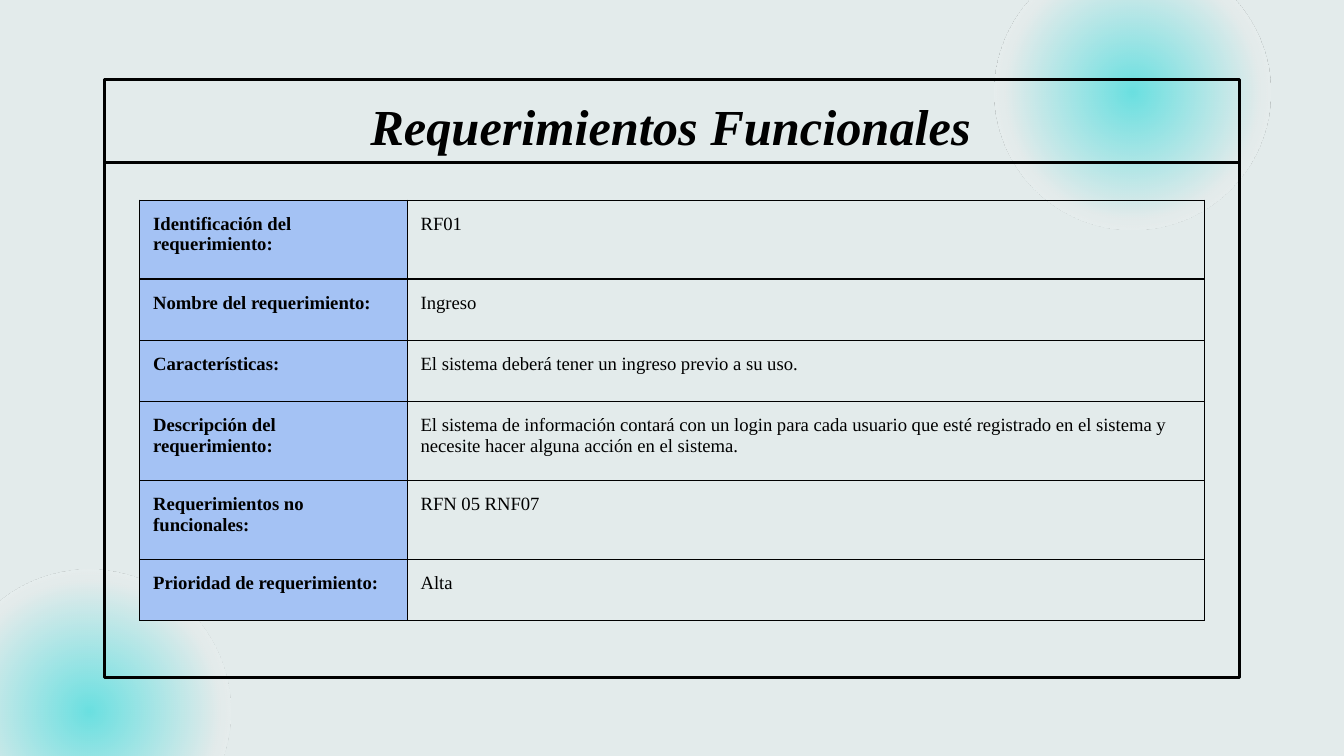
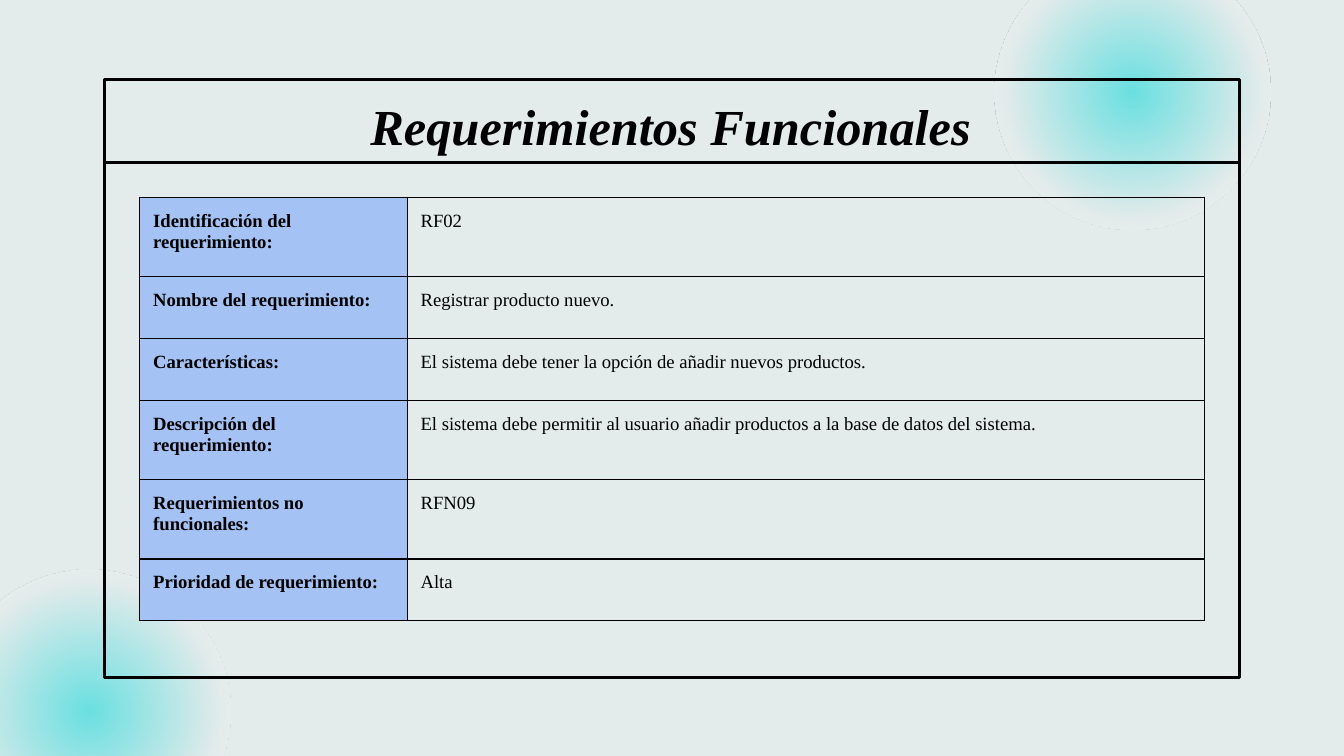
import pptx
import pptx.util
import pptx.dml.color
import pptx.enum.shapes
import pptx.enum.text
import pptx.oxml
import pptx.oxml.ns

Inches = pptx.util.Inches
Pt = pptx.util.Pt
RGBColor = pptx.dml.color.RGBColor

# Content
TITLE = "Requerimientos Funcionales"
LABELS = [
    "Identificación del requerimiento:",
    "Nombre del requerimiento:",
    "Características:",
    "Descripción del requerimiento:",
    "Requerimientos no funcionales:",
    "Prioridad de requerimiento:",
]
REQUIREMENTS = [
    {
        "table_top": 1.49,
        "values": [
            "RF01",
            "Ingreso",
            "El sistema deberá tener un ingreso previo a su uso.",
            "El sistema de información contará con un login para cada usuario que esté "
            "registrado en el sistema y necesite hacer alguna acción en el sistema.",
            "RFN 05 RNF07",
            "Alta",
        ],
    },
    {
        "table_top": 1.47,
        "values": [
            "RF02",
            "Registrar producto nuevo.",
            "El sistema debe tener la opción de añadir nuevos productos.",
            "El sistema debe permitir al usuario añadir productos a la base de datos del sistema.",
            "RFN09",
            "Alta",
        ],
    },
]

# Shared style
PAPER = RGBColor(0xE3, 0xEB, 0xEB)
GLOW = RGBColor(0x6A, 0xE0, 0xE1)
LABEL_BLUE = RGBColor(0xA4, 0xC2, 0xF4)
INK = RGBColor(0x00, 0x00, 0x00)
WHITE = RGBColor(0xFF, 0xFF, 0xFF)
FONT = "Times New Roman"
PADDING = Inches(0.1)

# Shared layout, in inches
WIDTH = 10
HEIGHT = WIDTH * 9 / 16
FRAME_TOP, FRAME_WIDTH, FRAME_HEIGHT = 0.59, 8.45, 4.45
FRAME_LEFT = (WIDTH - FRAME_WIDTH) / 2
RULE_TOP = 1.21
GLOWS = [(-0.39, 4.24, 2.1), (7.4, -0.34, 2.05)]  # left, top, diameter
TABLE_LEFT, TABLE_BOTTOM = 1.04, 4.62
COLUMNS = [1.99, 5.93]
ROW_SHARES = [0.59, 0.46, 0.46, 0.59, 0.59, 0.46]


def style_text(paragraph, size, bold, italic=False):
    for span in paragraph.runs:
        span.font.name = FONT
        span.font.size = Pt(size)
        span.font.bold = bold
        span.font.italic = italic
        span.font.color.rgb = INK


def pad(target):
    target.margin_left = target.margin_right = PADDING
    target.margin_top = target.margin_bottom = PADDING


def add_glow(page, left, top, diameter):
    circle = page.shapes.add_shape(
        pptx.enum.shapes.MSO_SHAPE.OVAL,
        Inches(left), Inches(top), Inches(diameter), Inches(diameter))
    circle.rotation = 180
    circle.shadow.inherit = False
    circle.line.fill.background()
    # Radial gradient fading to transparent
    gradient = pptx.oxml.parse_xml(
        f'<a:gradFill {pptx.oxml.ns.nsdecls("a")} rotWithShape="1"><a:gsLst>'
        f'<a:gs pos="0"><a:srgbClr val="{GLOW}"/></a:gs>'
        f'<a:gs pos="65000"><a:srgbClr val="{PAPER}"/></a:gs>'
        f'<a:gs pos="100000"><a:srgbClr val="{WHITE}"><a:alpha val="0"/></a:srgbClr></a:gs>'
        '</a:gsLst><a:path path="circle">'
        '<a:fillToRect l="50000" t="50000" r="50000" b="50000"/></a:path></a:gradFill>')
    circle.fill.background()
    properties = circle.element.spPr
    properties.replace(properties.find(pptx.oxml.ns.qn("a:noFill")), gradient)


def add_frame(page):
    frame = page.shapes.add_shape(
        pptx.enum.shapes.MSO_SHAPE.RECTANGLE, Inches(FRAME_LEFT), Inches(FRAME_TOP),
        Inches(FRAME_WIDTH), Inches(FRAME_HEIGHT))
    frame.shadow.inherit = False
    frame.fill.background()
    rule = page.shapes.add_connector(
        pptx.enum.shapes.MSO_CONNECTOR.STRAIGHT, Inches(FRAME_LEFT), Inches(RULE_TOP),
        Inches(FRAME_LEFT + FRAME_WIDTH), Inches(RULE_TOP))
    for outline in (frame.line, rule.line):
        outline.color.rgb = INK
        outline.width = Pt(1.5)
    rule.element.spPr.append(
        pptx.oxml.parse_xml(f'<a:effectLst {pptx.oxml.ns.nsdecls("a")}/>'))


def add_title(page):
    box = page.shapes.add_textbox(Inches(0.75), Inches(FRAME_TOP), Inches(8.48), Inches(0.69))
    frame = box.text_frame
    frame.word_wrap = True
    frame.vertical_anchor = pptx.enum.text.MSO_ANCHOR.MIDDLE
    pad(frame)
    frame.text = TITLE
    para = frame.paragraphs[0]
    para.alignment = pptx.enum.text.PP_ALIGN.CENTER
    style_text(para, 27, bold=True, italic=True)


def add_borders(cell):
    properties = cell._tc.get_or_add_tcPr()
    for position, side in enumerate("LRTB"):
        properties.insert(position, pptx.oxml.parse_xml(
            f'<a:ln{side} {pptx.oxml.ns.nsdecls("a")} w="{Pt(0.75)}">'
            f'<a:solidFill><a:srgbClr val="{INK}"/></a:solidFill></a:ln{side}>'))


def add_requirement_table(page, top, values):
    height = TABLE_BOTTOM - top
    table = page.shapes.add_table(
        len(LABELS), len(COLUMNS), Inches(TABLE_LEFT), Inches(top),
        Inches(sum(COLUMNS)), Inches(height)).table
    table.first_row = table.horz_banding = False
    for column, width in zip(table.columns, COLUMNS):
        column.width = Inches(width)
    for row, share, texts in zip(table.rows, ROW_SHARES, zip(LABELS, values)):
        row.height = Inches(height * share / sum(ROW_SHARES))
        for index, (cell, text) in enumerate(zip(row.cells, texts)):
            is_label = index == 0
            cell.text = text
            pad(cell)
            style_text(cell.text_frame.paragraphs[0], 10, bold=is_label)
            if is_label:
                cell.fill.solid()
                cell.fill.fore_color.rgb = LABEL_BLUE
            else:
                cell.fill.background()
            add_borders(cell)


def main():
    deck = pptx.Presentation()
    deck.slide_width, deck.slide_height = Inches(WIDTH), Inches(HEIGHT)
    for requirement in REQUIREMENTS:
        page = deck.slides.add_slide(deck.slide_layouts[6])
        page.background.fill.solid()
        page.background.fill.fore_color.rgb = PAPER
        for glow in GLOWS:
            add_glow(page, *glow)
        add_frame(page)
        add_title(page)
        add_requirement_table(page, requirement["table_top"], requirement["values"])
    deck.save("out.pptx")


if __name__ == "__main__":
    main()
